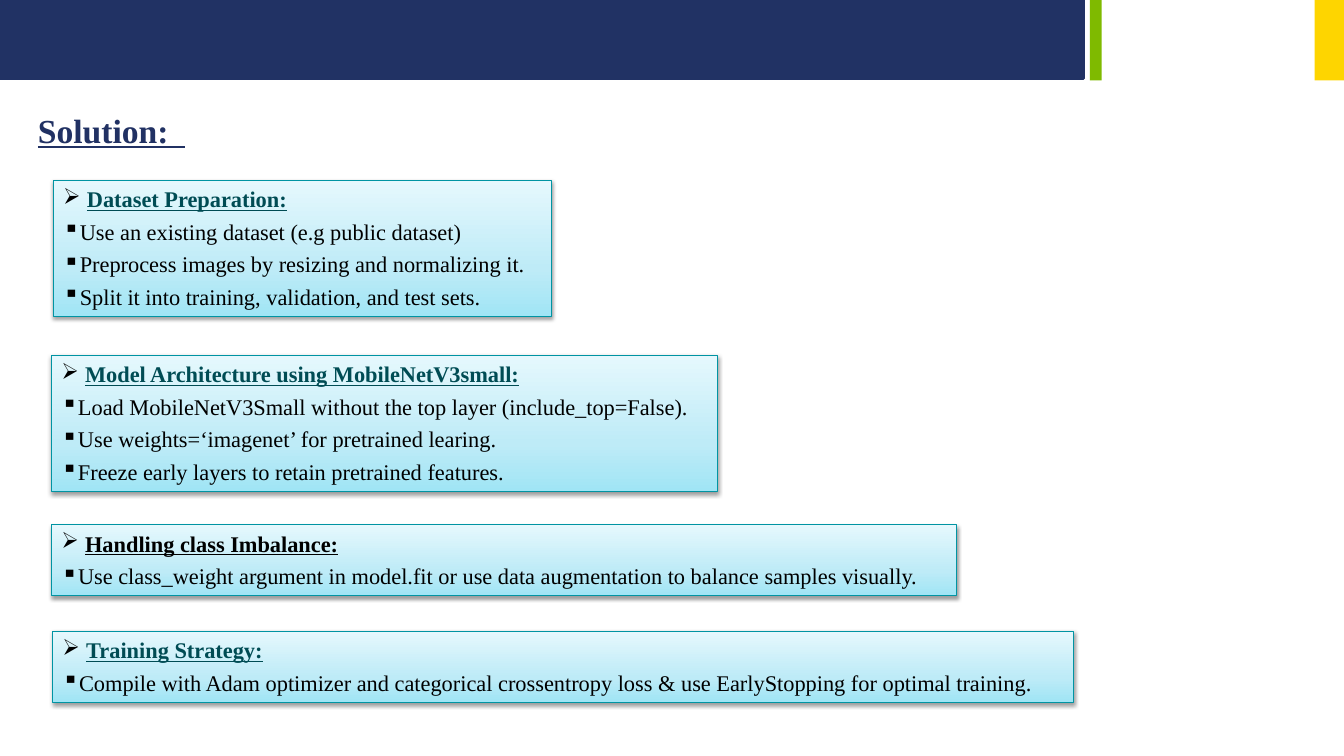
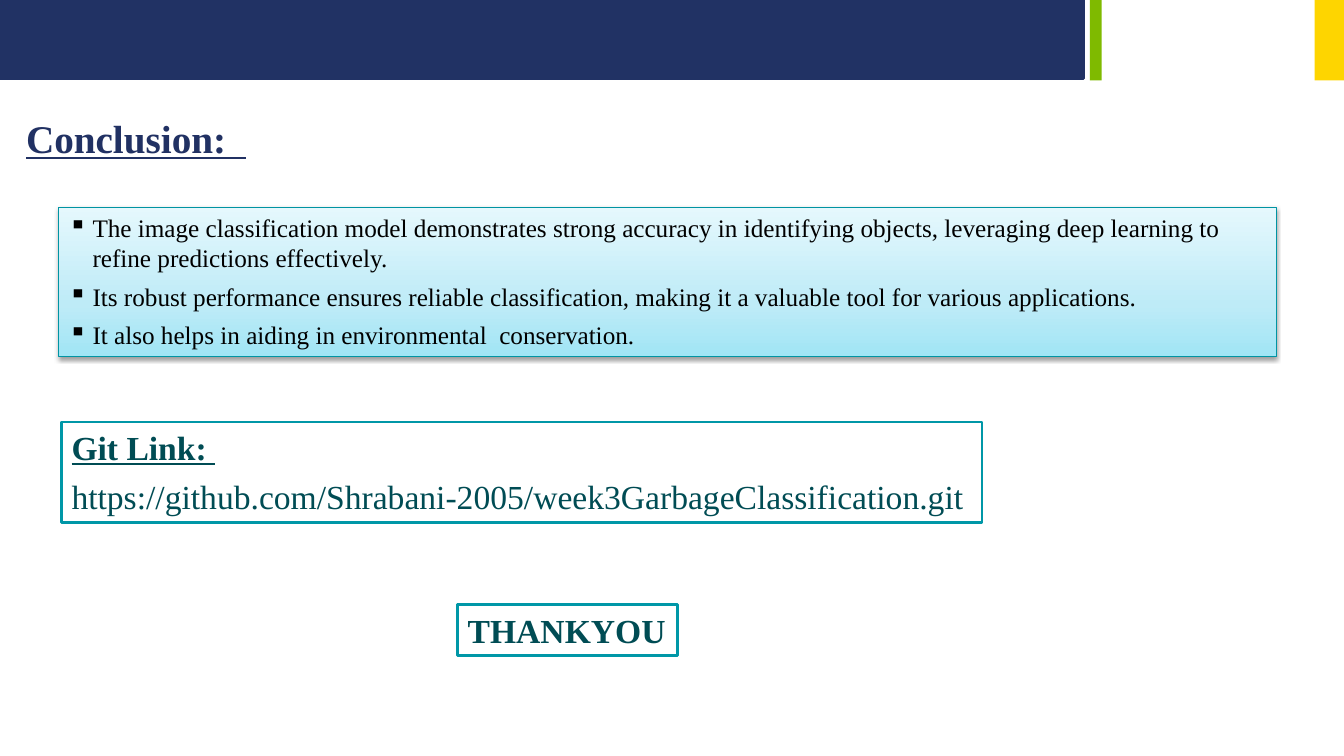
import pptx
import pptx.dml.color
import pptx.enum.shapes
import pptx.enum.text
import pptx.oxml
import pptx.oxml.ns
import pptx.util
from lxml import etree

Pt = pptx.util.Pt
RGBColor = pptx.dml.color.RGBColor
qn = pptx.oxml.ns.qn

FONT = "Times New Roman"
NAVY = RGBColor(0x21, 0x32, 0x64)
TITLE_NAVY = RGBColor(0x21, 0x31, 0x63)
GREEN = RGBColor(0x7F, 0xBA, 0x00)
YELLOW = RGBColor(0xFE, 0xD5, 0x00)
TEAL = RGBColor(0x00, 0x97, 0xA7)
PANEL_TEAL = RGBColor(0x00, 0x94, 0xA3)
DARK_TEAL = RGBColor(0x00, 0x4C, 0x54)
BLACK = RGBColor(0, 0, 0)
WHITE = RGBColor(0xFF, 0xFF, 0xFF)

PANEL_GRADIENT = (
    '<a:gradFill xmlns:a="http://schemas.openxmlformats.org/drawingml/2006/main" rotWithShape="1">'
    '<a:gsLst><a:gs pos="0"><a:srgbClr val="A0E5F5"/></a:gs>'
    '<a:gs pos="35000"><a:srgbClr val="BEEBF7"/></a:gs>'
    '<a:gs pos="100000"><a:srgbClr val="E5F8FD"/></a:gs></a:gsLst>'
    '<a:lin ang="16200000" scaled="1"/></a:gradFill>')
PANEL_SHADOW = (
    '<a:outerShdw xmlns:a="http://schemas.openxmlformats.org/drawingml/2006/main" '
    'blurRad="39370" dist="20320" dir="5400000" rotWithShape="0">'
    '<a:srgbClr val="000000"><a:alpha val="38000"/></a:srgbClr></a:outerShdw>')


def add_box(slide, bounds, fill=None, line=None, line_width=2):
    """Add a rectangle; without a fill colour it is a shaded panel with a shadow."""
    box = slide.shapes.add_shape(pptx.enum.shapes.MSO_SHAPE.RECTANGLE, *map(Pt, bounds))
    box.shadow.inherit = False
    if line is None:
        box.line.fill.background()
    else:
        box.line.color.rgb = line
        box.line.width = Pt(line_width)
    if fill is None:
        properties = box.element.spPr
        properties.find(qn("a:prstGeom")).addnext(pptx.oxml.parse_xml(PANEL_GRADIENT))
        properties.find(qn("a:effectLst")).append(pptx.oxml.parse_xml(PANEL_SHADOW))
    else:
        box.fill.solid()
        box.fill.fore_color.rgb = fill
    box.text_frame.word_wrap = True
    box.text_frame.vertical_anchor = pptx.enum.text.MSO_ANCHOR.TOP
    return box


def add_paragraph(frame, text, size, color, bold=False, underline=False,
                  space=0, bullet=None, indent=0):
    first = not frame.paragraphs[0].runs
    paragraph = frame.paragraphs[0] if first else frame.add_paragraph()
    paragraph.alignment = pptx.enum.text.PP_ALIGN.LEFT
    paragraph.space_before = Pt(0 if first else space)
    if bullet:
        properties = paragraph._p.get_or_add_pPr()
        properties.set("marL", str(Pt(indent)))
        properties.set("indent", str(-Pt(indent)))
        bullet_color = etree.SubElement(properties, qn("a:buClr"))
        etree.SubElement(bullet_color, qn("a:srgbClr"), val=str(BLACK))
        etree.SubElement(properties, qn("a:buChar"), char=bullet)
    run = paragraph.add_run()
    run.text = text
    run.font.name = FONT
    run.font.size = Pt(size)
    run.font.color.rgb = color
    run.font.bold = bold
    run.font.underline = underline
    return paragraph


presentation = pptx.Presentation()
presentation.slide_width = Pt(960)
presentation.slide_height = Pt(540)

# Bands and titles
slides = []
for title, size, left, top in [("Solution:  ", 24, 20, 75), ("Conclusion:  ", 28, 11.5, 78)]:
    slide = presentation.slides.add_slide(presentation.slide_layouts[6])
    slides.append(slide)
    add_box(slide, (0, 0, 774, 56), NAVY, NAVY)
    add_box(slide, (778.5, 0, 8.5, 57.5), GREEN)
    add_box(slide, (939, 0, 21, 57.5), YELLOW)
    title_box = slide.shapes.add_textbox(Pt(left), Pt(top), Pt(480), Pt(size + 12))
    title_box.text_frame.word_wrap = True
    add_paragraph(title_box.text_frame, title, size, TITLE_NAVY, True, True)
solution, conclusion = slides

# Solution steps
steps = [
    ((38, 129, 356, 97), "Dataset Preparation:", DARK_TEAL, [
        "Use an existing dataset (e.g public dataset)",
        "Preprocess images by resizing and normalizing it.",
        "Split it into training, validation, and test sets."]),
    ((36.75, 254, 476, 97), "Model Architecture using MobileNetV3small:", DARK_TEAL, [
        "Load MobileNetV3Small without the top layer (include_top=False).",
        "Use weights=‘imagenet’ for pretrained learing.",
        "Freeze early layers to retain pretrained features."]),
    ((36.75, 375, 646.5, 50.5), "Handling class Imbalance:", BLACK, [
        "Use class_weight argument in model.fit or use data augmentation to balance "
        "samples visually."]),
    ((37.5, 451, 729.5, 50.5), "Training Strategy:", DARK_TEAL, [
        "Compile with Adam optimizer and categorical crossentropy loss & use EarlyStopping "
        "for optimal training."]),
]
for bounds, heading, heading_color, points in steps:
    frame = add_box(solution, bounds, line=PANEL_TEAL, line_width=0.75).text_frame
    add_paragraph(frame, heading, 16, heading_color, True, True, bullet="➢", indent=17)
    for point in points:
        add_paragraph(frame, point, 16, BLACK, space=4, bullet="▪", indent=11.5)

# Conclusion
findings = [
    "The image classification model demonstrates strong accuracy in identifying objects, "
    "leveraging deep learning to refine predictions effectively.",
    "Its robust performance ensures reliable classification, making it a valuable tool "
    "for various applications.",
    "It also helps in aiding in environmental  conservation.",
]
frame = add_box(conclusion, (42, 148, 869.5, 107), line=PANEL_TEAL, line_width=0.75).text_frame
for finding in findings:
    add_paragraph(frame, finding, 18, BLACK, space=6, bullet="▪", indent=17)

frame = add_box(conclusion, (44, 301.5, 657.5, 71.5), WHITE, TEAL).text_frame
add_paragraph(frame, "Git Link: ", 24, DARK_TEAL, True, True)
add_paragraph(frame, "https://github.com/Shrabani-2005/week3GarbageClassification.git",
              24, DARK_TEAL, space=6)

frame = add_box(conclusion, (327, 432, 157, 36.5), WHITE, TEAL).text_frame
add_paragraph(frame, "THANKYOU", 24, DARK_TEAL, True)

presentation.save("out.pptx")
